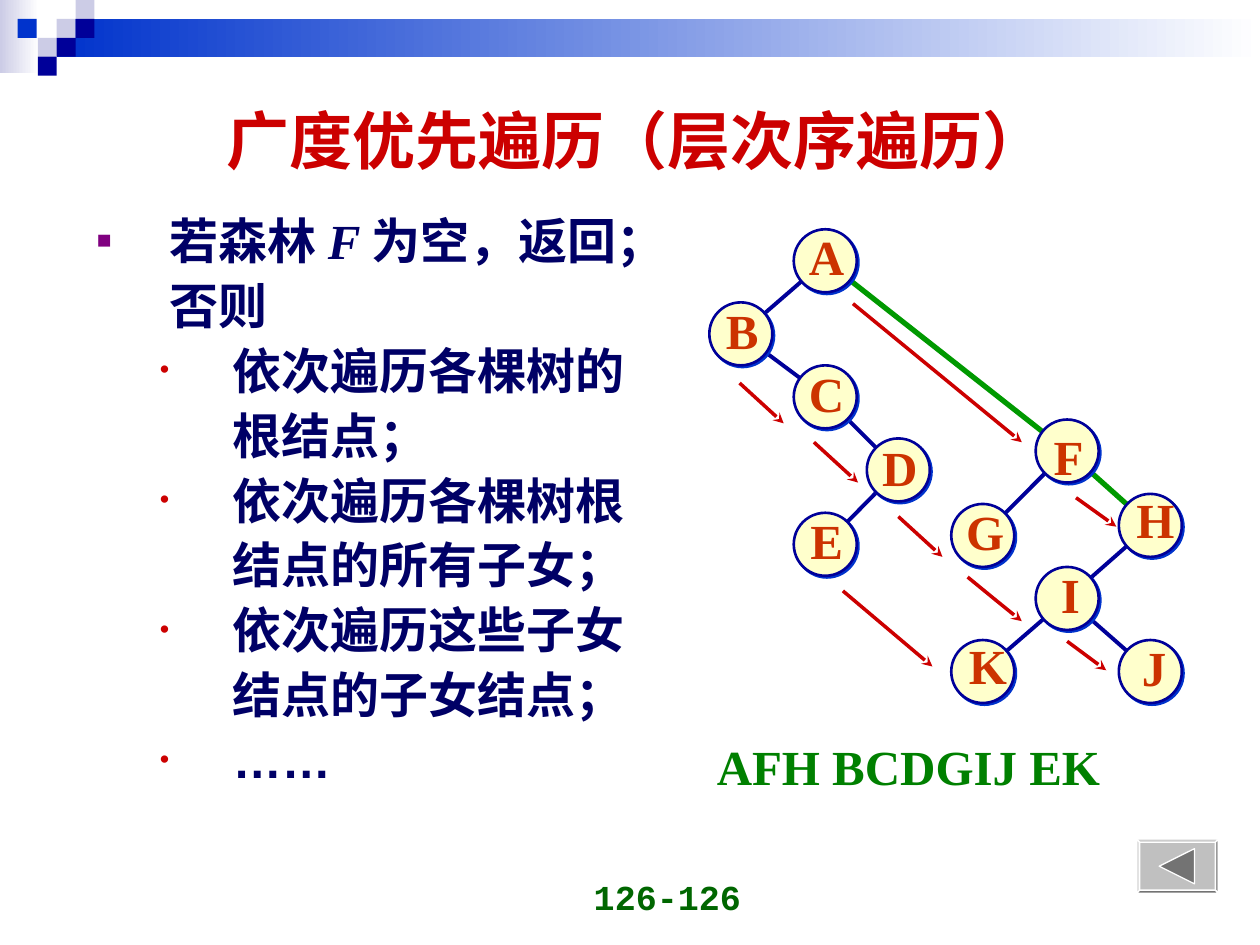
from lxml import etree
from pptx import Presentation
from pptx import util as u
from pptx.dml.color import RGBColor
from pptx.enum import shapes, text
from pptx.oxml.ns import qn

COLS, ROWS = 100, 75
NAVY, BLUE, LILAC, RED = "000099", "0033CC", "CCCCE6", "CC0000"
SERIF = "Times New Roman"

# centre of each node, then the shift of its letter
NODES = {
    "A": (65.5, 20.7, 0.1, -0.35), "B": (58.8, 26.5, 0.1, -0.35),
    "C": (65.5, 31.5, 0.1, -0.35), "D": (71.3, 37.3, 0.1, -0.25),
    "E": (65.5, 43.2, 0.1, -0.35), "F": (84.7, 35.8, 0.1, 0.35),
    "G": (78, 42.5, 0.1, -0.35), "H": (91.3, 41.7, 0.3, -0.5),
    "I": (84.7, 47.5, 0.25, -0.35), "J": (91.3, 53.3, 0.3, -0.35),
    "K": (78, 53.3, 0.3, -0.5),
}
EDGES = ["AB", "BC", "CD", "DE", "FG", "HI", "IK", "IJ"]
ROOT_LINKS = ["AF", "FH"]
ARROWS = [
    (58.7, 30.4, 62.2, 33.6), (64.6, 35.1, 68.1, 38.3),
    (71.3, 41, 74.8, 44.2), (67.7, 24.1, 81.1, 35.1),
    (85.4, 39.5, 88.6, 41.8), (66.9, 46.9, 74, 52.9),
    (84.7, 50.9, 87.8, 53.2),
]
TILES = [(4.5, 1.5, LILAC), (6, 0, LILAC), (6, 1.5, NAVY), (3, 3, LILAC),
         (1.4, 1.5, BLUE), (4.5, 3, NAVY), (3, 4.5, NAVY)]
# level, starts with a bullet, runs of (text, format)
BODY = [
    (0, True, [("若森林 ", {}), ("F ", {"italic": True}), ("为空，返回；", {})]),
    (0, False, [("否则", {})]),
    (1, True, [("依次遍历各棵树的", {})]),
    (1, False, [("根结点；", {})]),
    (1, True, [("依次遍历各棵树根", {})]),
    (1, False, [("结点的所有子女；", {})]),
    (1, True, [("依次遍历这些子女", {})]),
    (1, False, [("结点的子女结点；", {})]),
    (1, True, [("……", {"font": "Arial"})]),
]
BULLETS = [("■", "800080", 50), ("•", RED, 55)]


def rgb(color):
    return RGBColor.from_string(color)


def child(parent, tag, **attrs):
    return etree.SubElement(parent, qn(tag), {k: str(v) for k, v in attrs.items()})


def add_run(p, words, size=28, font=SERIF, color="000066", italic=False):
    r = p.add_run()
    r.text = words
    f = r.font
    f.size, f.name, f.bold, f.italic = u.Pt(size), font, True, italic
    f.color.rgb = rgb(color)


def add_bullet(p, char, color, percent):
    pPr = p._p.get_or_add_pPr()
    child(child(pPr, "a:buClr"), "a:srgbClr", val=color)
    child(pPr, "a:buSzPct", val=percent * 1000)
    child(pPr, "a:buFont", typeface="Arial")
    child(pPr, "a:buChar", char=char)


class Page:
    """Draws on one slide; lengths are columns and rows of the grid."""

    def __init__(self, prs):
        self.s = prs.slides.add_slide(prs.slide_layouts[6])
        self.col = prs.slide_width / COLS
        self.row = prs.slide_height / ROWS

    def at(self, *lengths):
        units = (self.col, self.row)
        return [round(v * units[i % 2]) for i, v in enumerate(lengths)]

    def shape(self, kind, box, fill, line=None, width=1):
        """A fill of two colours runs from left to right."""
        sp = self.s.shapes.add_shape(kind, *self.at(*box))
        self.paint(sp, fill, line, width)
        return sp

    def paint(self, sp, fill, line, width):
        sp.shadow.inherit = False
        if isinstance(fill, tuple):
            sp.fill.gradient()
            sp.fill.gradient_angle = 0
            for stop, color in zip(sp.fill.gradient_stops, fill):
                stop.color.rgb = rgb(color)
        elif fill:
            sp.fill.solid()
            sp.fill.fore_color.rgb = rgb(fill)
        else:
            sp.fill.background()
        if line:
            sp.line.color.rgb = rgb(line)
            sp.line.width = u.Pt(width)
        else:
            sp.line.fill.background()

    def outline(self, points, fill=None, line=None, width=1, close=True):
        pts = [self.at(*pt) for pt in points]
        fb = self.s.shapes.build_freeform(*pts[0])
        fb.add_line_segments(pts[1:], close=close)
        sp = fb.convert_to_shape()
        self.paint(sp, fill, line, width)
        return sp

    def line(self, ends, color, width):
        c = self.s.shapes.add_connector(shapes.MSO_CONNECTOR.STRAIGHT, *self.at(*ends))
        c.line.color.rgb = rgb(color)
        c.line.width = u.Pt(width)
        child(c._element.spPr, "a:effectLst")
        return c

    def arrowhead(self, sp):
        child(sp.line._get_or_add_ln(), "a:tailEnd", type="stealth")

    def node(self, x, y):
        sp = self.shape(shapes.MSO_SHAPE.OVAL, (x - 2.5, y - 2.5, 5, 5), "FFFFCC", NAVY, 1.5)
        effects = sp._element.spPr.find(qn("a:effectLst"))
        shadow = child(effects, "a:outerShdw", dist=u.Pt(1.4), dir=45 * 60000, rotWithShape=0)
        child(shadow, "a:srgbClr", val=BLUE)

    def frame(self, box, anchor=text.MSO_ANCHOR.TOP, wrap=True):
        tf = self.s.shapes.add_textbox(*self.at(*box)).text_frame
        tf.word_wrap, tf.vertical_anchor = wrap, anchor
        return tf

    def label(self, words, box, anchor=text.MSO_ANCHOR.MIDDLE, align=text.PP_ALIGN.CENTER,
              wrap=True, **fmt):
        p = self.frame(box, anchor, wrap).paragraphs[0]
        p.alignment = align
        add_run(p, words, **fmt)

    def body(self, box, items):
        tf = self.frame(box)
        for i, (level, bullet, runs) in enumerate(items):
            p = tf.add_paragraph() if i else tf.paragraphs[0]
            pPr = p._p.get_or_add_pPr()
            pPr.set("marL", str(u.Inches(0.58 + 0.5 * level)))
            pPr.set("indent", str(u.Inches(-0.58 if bullet else 0)))
            if bullet:
                add_bullet(p, *BULLETS[level])
            if i:
                p.space_before = u.Pt(3.5)
            for words, fmt in runs:
                add_run(p, words, **fmt)

    def back_button(self, x, y, w, h, rim=0.25):
        outer = [(x, y), (x + w, y), (x + w, y + h), (x, y + h)]
        inner = [(x + rim, y + rim), (x + w - rim, y + rim),
                 (x + w - rim, y + h - rim), (x + rim, y + h - rim)]
        self.outline(outer, "C0C0C0", "FFFFFF", 0)
        for i, fill in enumerate(["CDCDCD", "9A9A9A", "737373", "E0E0E0"]):
            j = (i + 1) % 4
            self.outline([outer[i], outer[j], inner[j], inner[i]], fill, "FFFFFF", 0)
        mid = y + h / 2
        self.outline([(x + 1.8, mid), (x + 4.6, mid - 1.4), (x + 4.6, mid + 1.4)],
                     "737373", "FFFFFF", 0)


def main():
    prs = Presentation()
    prs.slide_width, prs.slide_height = u.Inches(10), u.Inches(7.5)
    page = Page(prs)

    rect = shapes.MSO_SHAPE.RECTANGLE
    page.shape(rect, (0, 0, 3.1, 5.8), (LILAC, "FFFFFF"))
    page.shape(rect, (4.5, 1.5, 95.5, 3), (BLUE, "FFFFFF"))
    for x, y, fill in TILES:
        page.shape(rect, (x, y, 1.5, 1.5), fill)

    page.label("126-126", (36.5, 68.3, 23.3, 5), text.MSO_ANCHOR.BOTTOM, text.PP_ALIGN.RIGHT,
               size=20, font="Courier New", color="006600")
    page.label("广度优先遍历（层次序遍历）", (5.5, 6.4, 90, 9.3), size=36, font="Arial", color=RED)
    page.label("AFH BCDGIJ EK", (55.9, 58, 37.9, 5.7), text.MSO_ANCHOR.TOP, text.PP_ALIGN.LEFT,
               color="008000")
    page.back_button(90.2, 66.6, 6.5, 4.3)

    for links, color, width in ((ROOT_LINKS, "009900", 3), (EDGES, NAVY, 2.25)):
        for a, b in links:
            page.line(NODES[a][:2] + NODES[b][:2], color, width)
    for letter, (x, y, dx, dy) in NODES.items():
        page.node(x, y)
        page.label(letter, (x + dx - 2.4, y + dy - 2.85, 4.8, 5.7), wrap=False, color="CC3300")

    page.body((6.7, 16.2, 53.8, 50.4), BODY)

    page.arrowhead(page.outline([(76.8, 45.8), (79, 47.6), (81.1, 49.3)],
                                line=RED, width=2, close=False))
    for ends in ARROWS:
        page.arrowhead(page.line(ends, RED, 2))

    prs.save("out.pptx")


if __name__ == "__main__":
    main()
